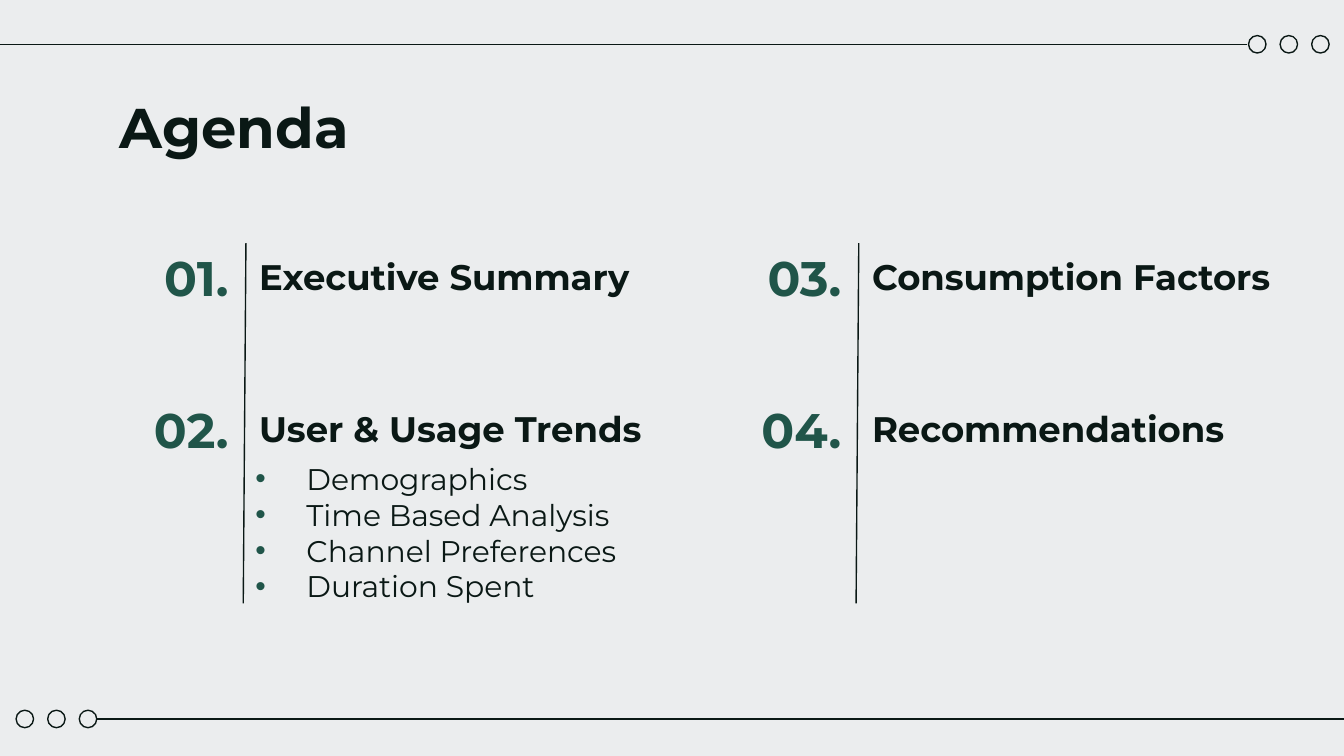
from lxml.etree import SubElement
from pptx import Presentation
from pptx.dml.color import RGBColor
from pptx.enum.shapes import MSO_CONNECTOR, MSO_SHAPE
from pptx.enum.text import MSO_ANCHOR, MSO_AUTO_SIZE, PP_ALIGN
from pptx.oxml.ns import qn
from pptx.util import Inches, Pt

WIDTH = 10
HEIGHT = WIDTH * 9 / 16
INK, GREEN, PAPER = "0A1815", "205549", "EBEDEE"

TITLE = "Agenda"
SECTIONS = [
    ["Executive Summary", "User & Usage Trends"],
    ["Consumption Factors", "Recommendations"],
]
TOPICS = ["Demographics", "Time Based Analysis", "Channel Preferences", "Duration Spent"]

COLUMN_LEFT, COLUMN_STEP = 0.85, 4.56
ROW_TOP, ROW_STEP, ROW_HEIGHT = 1.81, 1.13, 0.5
NUMBER_WIDTH, HEADING_OFFSET, HEADING_WIDTH = 0.95, 0.98, 3.5
DIVIDER_BOTTOM, DIVIDER_SLANT = 4.49, 0.02
CIRCLE, CIRCLE_STEP = 0.13, 0.235
TOP_RULE, BOTTOM_RULE = 0.33, 5.35

TITLE_STYLE = {"size": Pt(30), "bold": True}
NUMBER_STYLE = {"size": Pt(26), "bold": True}
HEADING_STYLE = {"size": Pt(19), "bold": True}
TOPIC_STYLE = {"size": Pt(16), "bold": False}


def rgb(value):
    return RGBColor.from_string(value)


def place(shape, left, top, width, height):
    box = {"left": left, "top": top, "width": width, "height": height}
    for name, value in box.items():
        setattr(shape, name, Inches(value))


def write(shape, lines, style, color=INK, align=PP_ALIGN.LEFT, anchor=MSO_ANCHOR.MIDDLE, bullets=False):
    frame = shape.text_frame
    frame.text = "\n".join(lines)
    layout = {"word_wrap": True, "auto_size": MSO_AUTO_SIZE.NONE, "vertical_anchor": anchor}
    for side in ("left", "top", "right", "bottom"):
        layout["margin_" + side] = Inches(0.1)
    for name, value in layout.items():
        setattr(frame, name, value)
    for paragraph in frame.paragraphs:
        if bullets:
            add_bullet(paragraph)
        for name, value in {"alignment": align, "space_before": Pt(0), "line_spacing": 1.0}.items():
            setattr(paragraph, name, value)
        for run in paragraph.runs:
            for name, value in {"name": "Montserrat", **style}.items():
                setattr(run.font, name, value)
            run.font.color.rgb = rgb(color)


def add_bullet(paragraph):
    properties = paragraph._p.get_or_add_pPr()
    properties.set("marL", str(Inches(0.38)))
    properties.set("indent", str(-Inches(0.38)))
    SubElement(SubElement(properties, qn("a:buClr")), qn("a:srgbClr"), val=GREEN)
    SubElement(properties, qn("a:buFont"), typeface="Arial")
    SubElement(properties, qn("a:buChar"), char="•")


def add_text(slide, box, text, style, **options):
    shape = slide.shapes.add_textbox(0, 0, 0, 0)
    place(shape, *box)
    write(shape, [text], style, **options)


def outline(shape):
    shape.line.color.rgb = rgb(INK)
    shape.line.width = Pt(0.75)


def add_line(slide, *ends):
    line = slide.shapes.add_connector(MSO_CONNECTOR.STRAIGHT, *map(Inches, ends))
    outline(line)
    SubElement(line._element.spPr, qn("a:effectLst"))


def add_circles(slide, left, middle):
    for index in range(3):
        circle = slide.shapes.add_shape(MSO_SHAPE.OVAL, 0, 0, 0, 0)
        place(circle, left + index * CIRCLE_STEP, middle - CIRCLE / 2, CIRCLE, CIRCLE)
        circle.shadow.inherit = False
        circle.fill.background()
        outline(circle)


def main():
    presentation = Presentation()
    presentation.slide_width, presentation.slide_height = Inches(WIDTH), Inches(HEIGHT)
    slide = presentation.slides.add_slide(presentation.slide_layouts[1])
    slide.background.fill.solid()
    slide.background.fill.fore_color.rgb = rgb(PAPER)

    add_circles(slide, 0.12, BOTTOM_RULE)
    add_circles(slide, 9.29, TOP_RULE)
    add_line(slide, 9.28, TOP_RULE, 0, TOP_RULE)
    add_line(slide, 0.72, BOTTOM_RULE, WIDTH, BOTTOM_RULE)

    title, topics = slide.placeholders
    place(title, 0.79, 0.59, 8.43, 0.63)
    write(title, [TITLE], TITLE_STYLE, anchor=MSO_ANCHOR.TOP)
    place(topics, 1.8, 3.31, 3.68, 1.3)
    write(topics, TOPICS, TOPIC_STYLE, bullets=True)

    for column, headings in enumerate(SECTIONS):
        left = COLUMN_LEFT + column * COLUMN_STEP
        heading_left = left + HEADING_OFFSET
        for row, heading in enumerate(headings):
            top = ROW_TOP + row * ROW_STEP
            number = f"{column * len(headings) + row + 1:02}."
            add_text(slide, (left, top, NUMBER_WIDTH, ROW_HEIGHT), number, NUMBER_STYLE,
                     color=GREEN, align=PP_ALIGN.RIGHT)
            add_text(slide, (heading_left, top, HEADING_WIDTH, ROW_HEIGHT), heading, HEADING_STYLE)
        add_line(slide, heading_left, ROW_TOP, heading_left - DIVIDER_SLANT, DIVIDER_BOTTOM)

    presentation.save("out.pptx")


if __name__ == "__main__":
    main()
